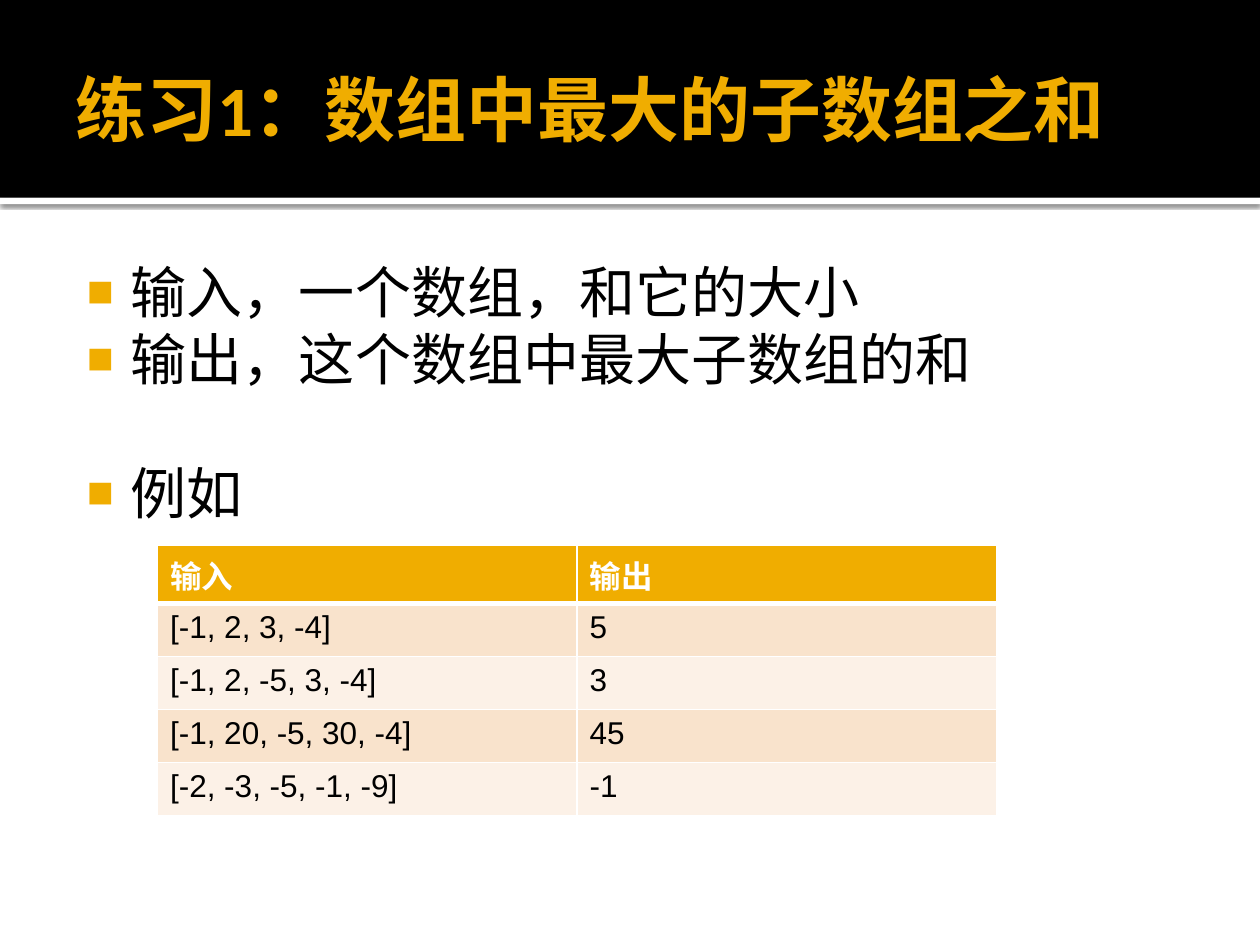
from lxml.etree import SubElement
from pptx import Presentation
from pptx.dml.color import RGBColor
from pptx.enum.shapes import MSO_SHAPE
from pptx.enum.text import MSO_ANCHOR, MSO_AUTO_SIZE, PP_ALIGN
from pptx.oxml.ns import qn
from pptx.util import Inches, Pt

AMBER = RGBColor(0xF0, 0xAD, 0x00)
BLACK = RGBColor(0, 0, 0)
WHITE = RGBColor(0xFF, 0xFF, 0xFF)
PEACH = RGBColor(0xF9, 0xE3, 0xCC)
CREAM = RGBColor(0xFC, 0xF1, 0xE7)

TITLE = "练习1：数组中最大的子数组之和"
# Each point with the space before it, in points
POINTS = [
    ("输入，一个数组，和它的大小", 0),
    ("输出，这个数组中最大子数组的和", 0),
    ("例如", 38.4),
]
EXAMPLES = [
    ("输入", "输出"),
    ("[-1, 2, 3, -4]", "5"),
    ("[-1, 2, -5, 3, -4]", "3"),
    ("[-1, 20, -5, 30, -4]", "45"),
    ("[-2, -3, -5, -1, -9]", "-1"),
]


def add(parent, tag, **attributes):
    return SubElement(parent, qn(tag), attributes)


def write(paragraph, text, *, size, font="Calibri", color=BLACK, bold=False, before=0):
    paragraph.alignment = PP_ALIGN.LEFT
    paragraph.space_before = Pt(before)
    run = paragraph.add_run()
    run.text = text
    run.font.size, run.font.name, run.font.bold = Pt(size), font, bold
    run.font.color.rgb = color


def set_frame(frame, anchor, left, top, right, bottom):
    frame.word_wrap = True
    frame.auto_size = MSO_AUTO_SIZE.NONE
    frame.vertical_anchor = anchor
    frame.margin_left, frame.margin_top = Inches(left), Inches(top)
    frame.margin_right, frame.margin_bottom = Inches(right), Inches(bottom)


def add_band(top, height, color):
    band = slide.shapes.add_shape(
        MSO_SHAPE.RECTANGLE, 0, Inches(top), deck.slide_width, Inches(height))
    band.shadow.inherit = False
    band.fill.solid()
    band.fill.fore_color.rgb = color
    band.line.fill.background()
    return band


def add_bullet(paragraph):
    properties = paragraph._p.get_or_add_pPr()
    properties.set("marL", str(Inches(0.48)))
    properties.set("indent", str(Inches(-0.35)))
    add(add(properties, "a:buClr"), "a:srgbClr", val=str(AMBER))
    add(properties, "a:buSzPct", val="80000")
    add(properties, "a:buFont", typeface="Arial")
    add(properties, "a:buChar", char="■")


def set_borders(cell, **widths):
    properties = cell._tc.get_or_add_tcPr()
    for position, (side, width) in enumerate(widths.items()):
        line = add(properties, f"a:{side}", w=str(Pt(width)))
        add(add(line, "a:solidFill"), "a:srgbClr", val=str(WHITE))
        properties.insert(position, line)


deck = Presentation()
deck.slide_width, deck.slide_height = Inches(10), Inches(7.5)
slide = deck.slides.add_slide(deck.slide_layouts[5])
slide.background.fill.solid()
slide.background.fill.fore_color.rgb = WHITE

# Title bands, placed behind the title
strip = add_band(1.57, 0.05, WHITE)
header = add_band(0, 1.57, BLACK)
shadow = add(strip._element.spPr.find(qn("a:effectLst")), "a:outerShdw",
             blurRad=str(Pt(2.5)), dist=str(Pt(0.8)), dir="5400000",
             algn="tl", rotWithShape="0")
add(add(shadow, "a:srgbClr", val=str(BLACK)), "a:alpha", val="60000")
for position, band in enumerate((strip, header), start=2):
    slide.shapes._spTree.insert(position, band._element)

# Title
title = slide.shapes.title
title.left, title.top = Inches(0.5), Inches(0.17)
title.width, title.height = Inches(9), Inches(1.37)
set_frame(title.text_frame, MSO_ANCHOR.MIDDLE, 0.1, 0.05, 0.05, 0.05)
write(title.text_frame.paragraphs[0], TITLE, size=40.5, color=AMBER, bold=True)

# Bullet points
body = slide.shapes.add_textbox(
    Inches(0.5), Inches(1.94), Inches(9), Inches(5.06)).text_frame
set_frame(body, MSO_ANCHOR.TOP, 0.06, 0.1, 0.1, 0.05)
for index, (point, before) in enumerate(POINTS):
    paragraph = body.add_paragraph() if index else body.paragraphs[0]
    add_bullet(paragraph)
    write(paragraph, point, size=32, before=before)

# Example table
ROW_HEIGHT, COLUMN_WIDTH = 0.42, 3.33
examples = slide.shapes.add_table(
    len(EXAMPLES), 2, Inches(1.25), Inches(4.33),
    Inches(2 * COLUMN_WIDTH), Inches(ROW_HEIGHT * len(EXAMPLES))).table
for row, values in enumerate(EXAMPLES):
    heading = row == 0
    for column, value in enumerate(values):
        cell = examples.cell(row, column)
        cell.fill.solid()
        cell.fill.fore_color.rgb = AMBER if heading else PEACH if row % 2 else CREAM
        set_borders(cell, lnL=1, lnR=1, lnT=3 if row == 1 else 1, lnB=3 if heading else 1)
        write(cell.text_frame.paragraphs[0], value, size=18, font="Arial",
              color=WHITE if heading else BLACK, bold=heading)

deck.save("out.pptx")
